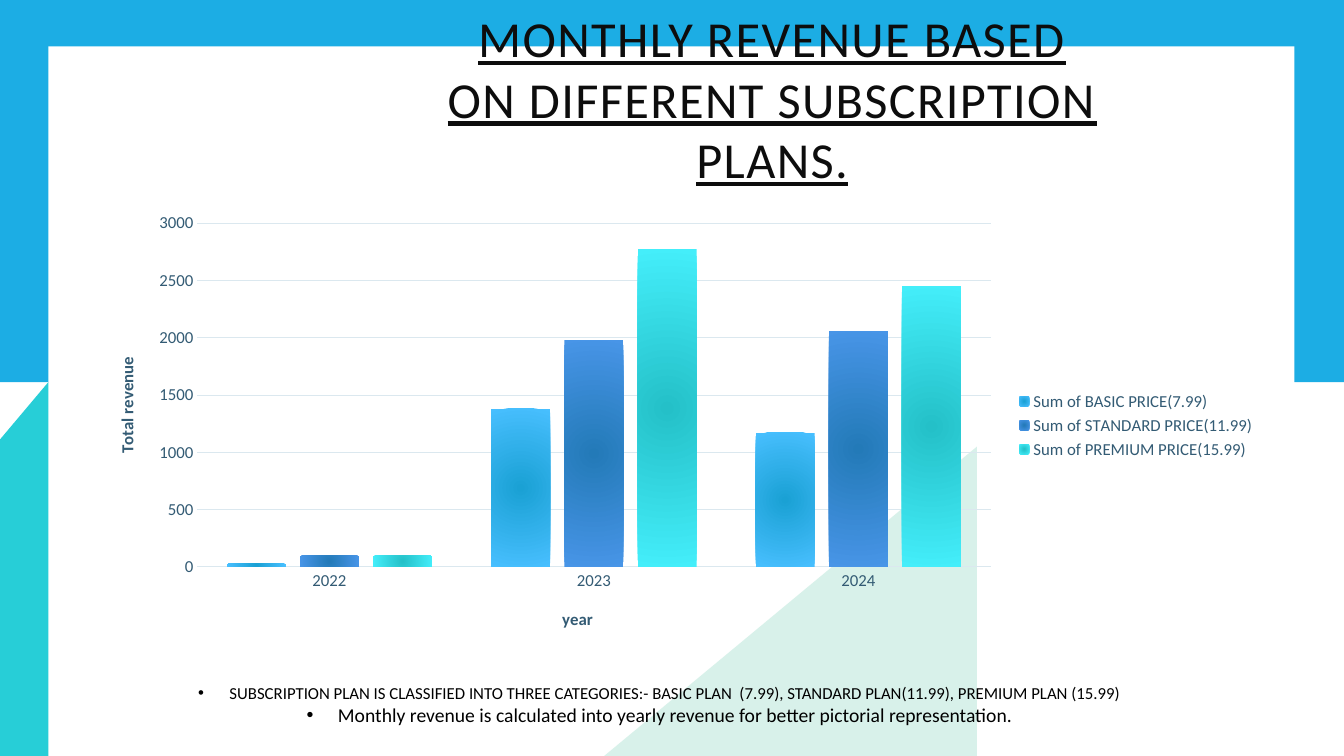
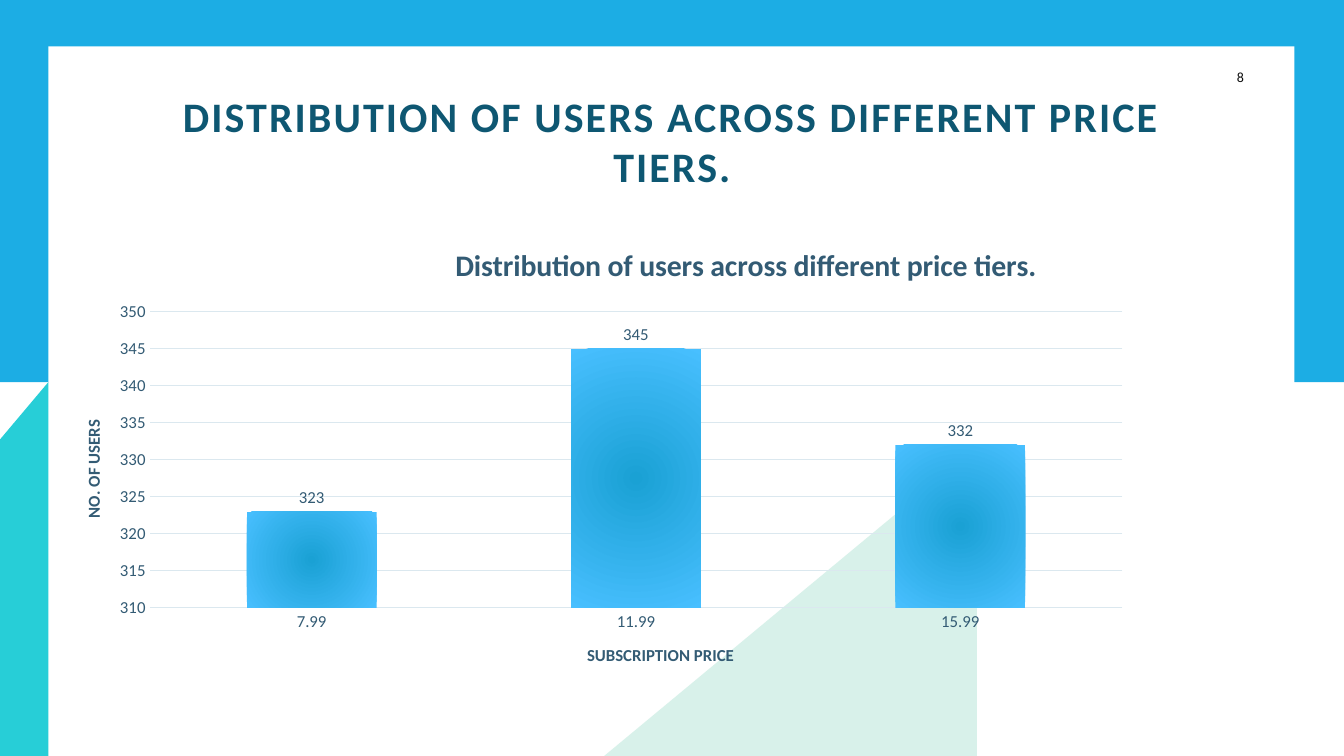
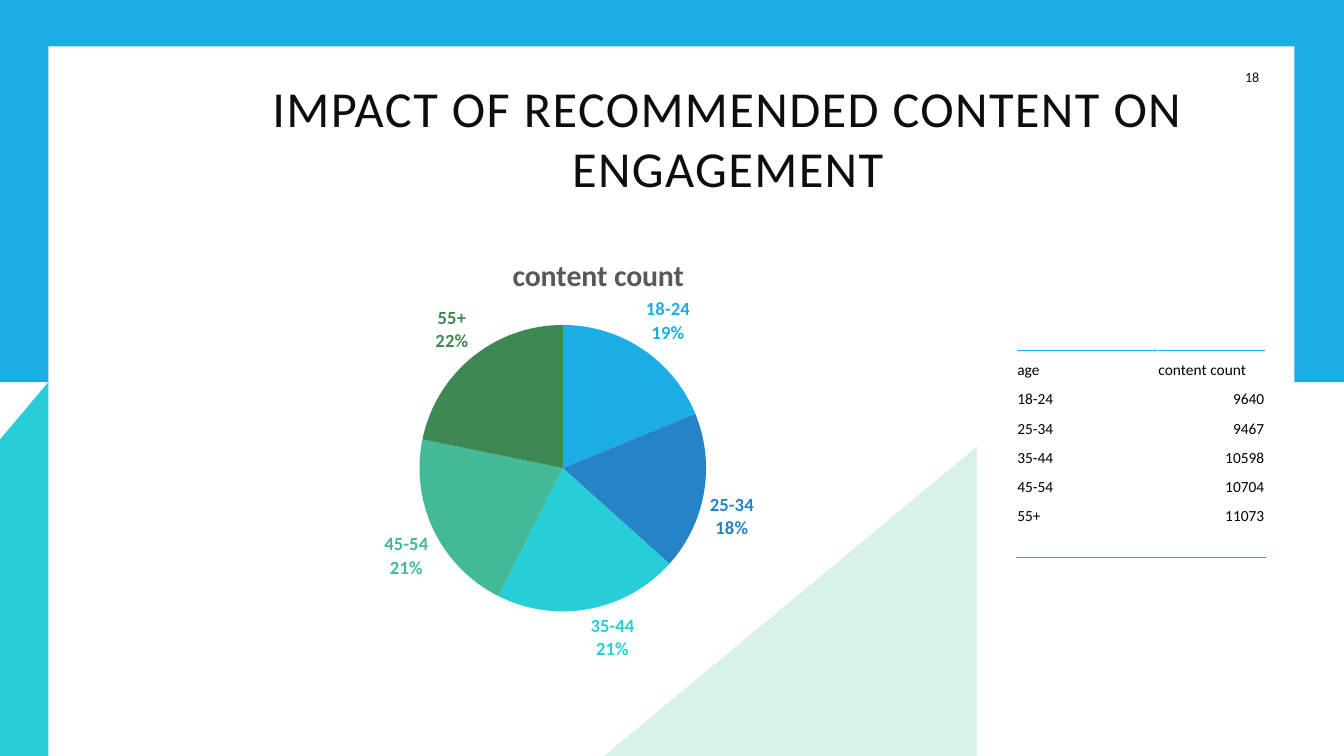
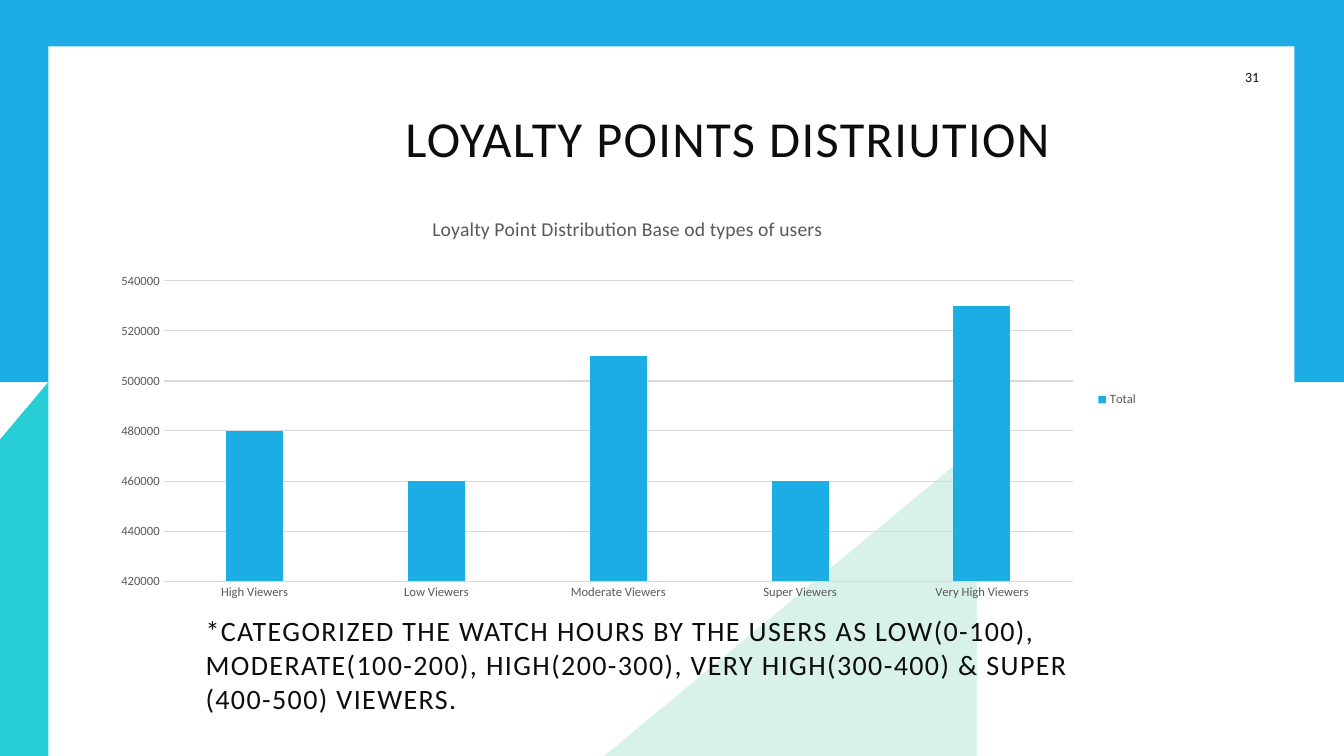
from dataclasses import dataclass
from typing import Any, NamedTuple, Optional

import pptx
import pptx.chart.data
import pptx.dml.color
import pptx.enum.chart
import pptx.enum.shapes
import pptx.enum.text
import pptx.oxml
import pptx.oxml.ns
import pptx.util
from pptx.util import Inches

FONT = "Calibri"
COLORS = {
    "blue": "1CADE4", "royal": "2683C6", "cyan": "27CED7",
    "teal": "42BA97", "green": "3E8853", "mint": "B3E4D6",
    "white": "FFFFFF", "black": "000000", "ink": "0D0D0D", "heading": "0E5772",
    "slate": "335B74", "pale": "DBE8EF", "gray": "595959", "grid": "D9D9D9",
    "blue_core": "1AA1D4", "blue_edge": "48BFFF",
    "royal_core": "237AB8", "royal_edge": "4895E7",
    "cyan_core": "24C0C8", "cyan_edge": "44EEFA",
}
PIE_COLORS = ("blue", "royal", "cyan", "teal", "green")
ALIGN = pptx.enum.text.PP_ALIGN
ANCHOR = pptx.enum.text.MSO_ANCHOR
CHART_TYPE = pptx.enum.chart.XL_CHART_TYPE
LABEL_POSITION = pptx.enum.chart.XL_LABEL_POSITION


class Box(NamedTuple):
    """Left, top, width and height in inches."""
    left: float
    top: float
    width: float
    height: float

    def lengths(self) -> list[int]:
        return [Inches(value) for value in self]


class TextStyle(NamedTuple):
    size: float
    color: str = "ink"
    bold: bool = False
    underline: bool = False
    spacing: float = 0


class Caption(NamedTuple):
    """A chart or axis title; left and top are fractions of the chart."""
    text: str
    left: float
    top: float
    style: TextStyle


class Scale(NamedTuple):
    minimum: float
    maximum: float
    step: float


class Series(NamedTuple):
    name: str
    values: tuple[float, ...]
    core: str
    edge: Optional[str] = None


@dataclass(frozen=True)
class ColumnChart:
    box: Box
    plot: Box
    categories: tuple[str, ...]
    series: tuple[Series, ...]
    scale: Scale
    text: TextStyle
    line_color: str
    gap: int
    overlap: int = 0
    title: Optional[Caption] = None
    category_title: Optional[Caption] = None
    value_title: Optional[Caption] = None
    legend: bool = False
    labels: bool = False


TITLE = TextStyle(36, spacing=1)
TITLE_BOX = Box(2.57, 0, 9.3, 2.73)
AXIS_TITLE = TextStyle(12, "slate", bold=True)

REVENUE = ColumnChart(
    box=Box(0.87, 2.03, 11.69, 4.38),
    plot=Box(0.093, 0.042, 0.673, 0.779),
    categories=("2022", "2023", "2024"),
    series=(
        Series("Sum of BASIC PRICE(7.99)", (30, 1380, 1170), "blue_core", "blue_edge"),
        Series("Sum of STANDARD PRICE(11.99)", (100, 1980, 2060), "royal_core", "royal_edge"),
        Series("Sum of PREMIUM PRICE(15.99)", (100, 2770, 2450), "cyan_core", "cyan_edge"),
    ),
    scale=Scale(0, 3000, 500),
    text=TextStyle(12, "slate"),
    line_color="pale",
    gap=100,
    overlap=-24,
    category_title=Caption("year", 0.4, 0.907, AXIS_TITLE),
    value_title=Caption("Total revenue", 0.021, 0.338, AXIS_TITLE),
    legend=True,
)
USERS = ColumnChart(
    box=Box(0.7, 2.08, 11.87, 4.92),
    plot=Box(0.066, 0.206, 0.813, 0.597),
    categories=("7.99", "11.99", "15.99"),
    series=(Series("Series 1", (323, 345, 332), "blue_core", "blue_edge"),),
    scale=Scale(310, 350, 5),
    text=TextStyle(12, "slate"),
    line_color="pale",
    gap=150,
    title=Caption("Distribution of users across different price tiers.", 0.317, 0.059,
                  TextStyle(21.3, "slate", bold=True)),
    category_title=Caption("SUBSCRIPTION PRICE", 0.429, 0.87, AXIS_TITLE),
    value_title=Caption("NO. OF USERS", 0.007, 0.418, AXIS_TITLE),
    labels=True,
)
LOYALTY = ColumnChart(
    box=Box(1, 1.9, 10.39, 4.13),
    plot=Box(0.06, 0.215, 0.868, 0.721),
    categories=("High Viewers", "Low Viewers", "Moderate Viewers", "Super Viewers",
                "Very High Viewers"),
    series=(Series("Total", (480000, 460000, 510000, 460000, 530000), "blue"),),
    scale=Scale(420000, 540000, 20000),
    text=TextStyle(9, "gray"),
    line_color="grid",
    gap=219,
    overlap=-27,
    title=Caption("Loyalty Point Distribution Base od types of users", 0.313, 0.049,
                  TextStyle(14, "gray")),
    legend=True,
)
AGES = ("18-24", "25-34", "35-44", "45-54", "55+")
AGE_SHARES = (19, 18, 21, 21, 22)
AGE_COUNTS = ("9640", "9467", "10598", "10704", "11073")


def rgb(color: str) -> pptx.dml.color.RGBColor:
    return pptx.dml.color.RGBColor.from_string(COLORS[color])


def make_element(tag: str, attributes: str = "", content: str = "") -> Any:
    prefix = tag.split(":")[0]
    namespace = pptx.oxml.ns.nsdecls(prefix)
    return pptx.oxml.parse_xml(f"<{tag} {namespace} {attributes}>{content}</{tag}>")


def style_font(font: Any, style: TextStyle) -> None:
    font.name = FONT
    font.size = pptx.util.Pt(style.size)
    font.bold = style.bold
    font.underline = style.underline
    font.color.rgb = rgb(style.color)


def add_run(paragraph: Any, text: str, style: TextStyle) -> None:
    run = paragraph.add_run()
    run.text = text
    style_font(run.font, style)
    if style.spacing:
        run._r.get_or_add_rPr().set("spc", str(int(style.spacing * 100)))


def add_text(slide: Any, box: Box, lines: list[tuple[str, TextStyle]], align: Any = ALIGN.LEFT,
             anchor: Any = ANCHOR.MIDDLE, inset: float = 0, bullets: bool = False) -> None:
    frame = slide.shapes.add_textbox(*box.lengths()).text_frame
    frame.word_wrap = True
    frame.vertical_anchor = anchor
    frame.margin_top = frame.margin_bottom = Inches(inset)
    for index, (text, style) in enumerate(lines):
        paragraph = frame.add_paragraph() if index else frame.paragraphs[0]
        paragraph.alignment = align
        if bullets:
            properties = paragraph._p.get_or_add_pPr()
            properties.set("marL", str(Inches(0.31)))
            properties.set("indent", str(-Inches(0.31)))
            properties.append(make_element("a:buFont", 'typeface="Arial"'))
            properties.append(make_element("a:buChar", 'char="•"'))
        add_run(paragraph, text, style)


def add_title(slide: Any, text: str, style: TextStyle = TITLE, box: Box = TITLE_BOX) -> None:
    add_text(slide, box, [(text, style)], ALIGN.CENTER)


def add_page_number(slide: Any, number: int, left: float = 12.25) -> None:
    box = Box(left, 0.5, 13.33 - left, 0.52)
    add_text(slide, box, [(str(number), TextStyle(10))], inset=0.05)


def paint(shape: Any, color: str) -> None:
    shape.shadow.inherit = False
    shape.fill.solid()
    shape.fill.fore_color.rgb = rgb(color)
    shape.line.fill.background()


def add_rectangle(slide: Any, box: Box, color: str) -> None:
    rectangle = pptx.enum.shapes.MSO_SHAPE.RECTANGLE
    paint(slide.shapes.add_shape(rectangle, *box.lengths()), color)


def add_polygon(slide: Any, points: list[tuple[float, float]], color: str) -> Any:
    corners = [(Inches(x), Inches(y)) for x, y in points]
    builder = slide.shapes.build_freeform(*corners[0])
    builder.add_line_segments(corners[1:], close=True)
    polygon = builder.convert_to_shape()
    paint(polygon, color)
    return polygon


def add_framed_slide(presentation: Any) -> Any:
    """Add a blank slide with the blue band, white panel and corner wedges."""
    slide = presentation.slides.add_slide(presentation.slide_layouts[6])
    add_rectangle(slide, Box(-0.03, 0, 13.36, 3.79), "blue")
    add_rectangle(slide, Box(0.48, 0.46, 12.36, 6.59), "white")
    wedge = add_polygon(slide, [(5.98, 7.51), (9.69, 4.43), (9.69, 7.51)], "mint")
    fill_color = wedge._element.spPr.find(".//" + pptx.oxml.ns.qn("a:srgbClr"))
    fill_color.append(make_element("a:alpha", 'val="50000"'))
    add_polygon(slide, [(0.48, 3.79), (0.48, 7.5), (0, 7.5), (0, 4.36)], "cyan")
    return slide


def place_in_chart(element: Any, left: float, top: float,
                   width: Optional[float] = None, height: Optional[float] = None) -> None:
    """Give a plot area or a title a fixed place, in fractions of the chart."""
    inner = '<c:layoutTarget val="inner"/>' if width else ""
    numbers = {"x": left, "y": top, "w": width, "h": height}
    modes = '<c:xMode val="edge"/><c:yMode val="edge"/>'
    sizes = "".join(f'<c:{key} val="{value}"/>' for key, value in numbers.items()
                    if value is not None)
    for old in element.findall(pptx.oxml.ns.qn("c:layout")):
        element.remove(old)
    index = 0 if element.find(pptx.oxml.ns.qn("c:tx")) is None else 1
    manual = f"<c:manualLayout>{inner}{modes}{sizes}</c:manualLayout>"
    element.insert(index, make_element("c:layout", content=manual))


def write_caption(title: Any, caption: Caption) -> None:
    add_run(title.text_frame.paragraphs[0], caption.text, caption.style)
    place_in_chart(title._element, caption.left, caption.top)


def add_chart(slide: Any, kind: Any, box: Box, plot: Box, categories: tuple[str, ...],
              series: tuple[Series, ...], title: Optional[Caption]) -> Any:
    data = pptx.chart.data.CategoryChartData()
    data.categories = categories
    for item in series:
        data.add_series(item.name, item.values)
    chart = slide.shapes.add_chart(kind, *box.lengths(), data).chart
    style_font(chart.font, TextStyle(10, "black"))
    chart.has_legend = False
    chart.has_title = title is not None
    if title:
        write_caption(chart.chart_title, title)
    place_in_chart(chart._chartSpace.chart.plotArea, *plot)
    return chart


def fill_series(series: Any, core: str, edge: Optional[str]) -> None:
    """Fill columns plainly, or from a core colour out to an edge colour."""
    fill = series.format.fill
    if edge is None:
        fill.solid()
        fill.fore_color.rgb = rgb(core)
        return
    fill.gradient()
    for stop, color, position in zip(fill.gradient_stops, (core, edge), (0, 1)):
        stop.color.rgb = rgb(color)
        stop.position = position
    direction = series._element.find(".//" + pptx.oxml.ns.qn("a:lin"))
    sides = " ".join(f'{side}="100000"' for side in "ltrb")
    radial = make_element("a:path", 'path="circle"', f"<a:fillToRect {sides}/>")
    direction.getparent().replace(direction, radial)


def add_column_chart(slide: Any, design: ColumnChart) -> None:
    chart = add_chart(slide, CHART_TYPE.COLUMN_CLUSTERED, design.box, design.plot,
                      design.categories, design.series, design.title)
    plot = chart.plots[0]
    plot.vary_by_categories = False
    plot.gap_width = design.gap
    plot.overlap = design.overlap
    for series, item in zip(plot.series, design.series):
        series.invert_if_negative = False
        fill_series(series, item.core, item.edge)

    captions = (design.category_title, design.value_title)
    for axis, caption in zip((chart.category_axis, chart.value_axis), captions):
        axis.major_tick_mark = pptx.enum.chart.XL_TICK_MARK.NONE
        style_font(axis.tick_labels.font, design.text)
        axis.has_title = caption is not None
        if caption:
            write_caption(axis.axis_title, caption)
    values = chart.value_axis
    values.minimum_scale, values.maximum_scale, values.major_unit = design.scale
    values.format.line.fill.background()
    for line in (chart.category_axis.format.line, values.major_gridlines.format.line):
        line.color.rgb = rgb(design.line_color)
        line.width = pptx.util.Pt(0.75)

    if design.legend:
        chart.has_legend = True
        chart.legend.position = pptx.enum.chart.XL_LEGEND_POSITION.RIGHT
        chart.legend.include_in_layout = False
        style_font(chart.legend.font, design.text)
    if design.labels:
        plot.has_data_labels = True
        plot.data_labels.show_value = True
        plot.data_labels.position = LABEL_POSITION.OUTSIDE_END
        style_font(plot.data_labels.font, design.text)


def add_age_pie(slide: Any) -> None:
    title = Caption("content count", 0.413, 0.055, TextStyle(21.3, "gray", bold=True))
    shares = Series("content count", AGE_SHARES, "blue")
    chart = add_chart(slide, CHART_TYPE.PIE, Box(1, 2.23, 9.76, 4.38),
                      Box(0, 0.227, 0.939, 0.649), AGES, (shares,), title)
    series = chart.plots[0].series[0]
    labels = series.data_labels
    labels.show_value = False
    labels.show_category_name = labels.show_percentage = True
    labels.position = LABEL_POSITION.OUTSIDE_END
    for index, color in enumerate(PIE_COLORS):
        point = series.points[index]
        point.format.fill.solid()
        point.format.fill.fore_color.rgb = rgb(color)
        style_font(point.data_label.font, TextStyle(13.3, color, bold=True))
        point.data_label.position = LABEL_POSITION.OUTSIDE_END
    shown = {"c:showVal": "0", "c:showCatName": "1", "c:showPercent": "1"}
    for label in series._element.iter(pptx.oxml.ns.qn("c:dLbl")):
        for tag, flag in shown.items():
            label.find(pptx.oxml.ns.qn(tag)).set("val", flag)
        label.append(make_element("c:separator", content="\n"))


def add_border(cell: Any, tag: str) -> None:
    line = f'<a:solidFill><a:srgbClr val="{COLORS["blue"]}"/></a:solidFill>'
    border = make_element(tag, f'w="{pptx.util.Pt(1)}"', line)
    cell._tc.get_or_add_tcPr().insert(0, border)


def add_age_table(slide: Any) -> None:
    rows = [("age", "content count"), *zip(AGES, AGE_COUNTS), ("", "")]
    box = Box(10.08, 3.48, 2.47, 2.03)
    table = slide.shapes.add_table(len(rows), 2, *box.lengths()).table
    table.first_row = table.horz_banding = False
    for column, width in zip(table.columns, (1.4, 1.07)):
        column.width = Inches(width)
    for row_index, row in enumerate(rows):
        table.rows[row_index].height = Inches(0.29)
        for column_index, text in enumerate(row):
            cell = table.cell(row_index, column_index)
            cell.fill.background()
            cell.vertical_anchor = ANCHOR.BOTTOM
            cell.margin_left = cell.margin_right = cell.margin_top = Inches(0.01)
            cell.margin_bottom = 0
            paragraph = cell.text_frame.paragraphs[0]
            if text.isdigit():
                paragraph.alignment = ALIGN.RIGHT
            add_run(paragraph, text, TextStyle(11, "black"))
            if row_index == 0:
                add_border(cell, "a:lnT")
            elif row_index == len(rows) - 1:
                add_border(cell, "a:lnB")


def build_revenue_slide(presentation: Any) -> None:
    slide = add_framed_slide(presentation)
    add_title(slide, "MONTHLY REVENUE BASED ON DIFFERENT SUBSCRIPTION PLANS.",
              TITLE._replace(underline=True), Box(4.33, 0.2, 6.66, 1.55))
    add_column_chart(slide, REVENUE)
    add_text(slide, Box(1.43, 6.72, 10.23, 0.54), [
        ("SUBSCRIPTION PLAN IS CLASSIFIED INTO THREE CATEGORIES:- BASIC PLAN  (7.99), "
         "STANDARD PLAN(11.99), PREMIUM PLAN (15.99)", TextStyle(12, "black")),
        ("Monthly revenue is calculated into yearly revenue for better pictorial "
         "representation.", TextStyle(14, "black")),
    ], ALIGN.CENTER, ANCHOR.TOP, inset=0.05, bullets=True)


def build_users_slide(presentation: Any) -> None:
    slide = add_framed_slide(presentation)
    add_title(slide, "DISTRIBUTION OF USERS ACROSS DIFFERENT PRICE TIERS.",
              TextStyle(30, "heading", bold=True, spacing=1.5), Box(1.54, 0.03, 10.25, 2.73))
    add_page_number(slide, 8, left=12.17)
    add_column_chart(slide, USERS)


def build_engagement_slide(presentation: Any) -> None:
    slide = add_framed_slide(presentation)
    add_title(slide, "IMPACT OF RECOMMENDED CONTENT ON ENGAGEMENT")
    add_page_number(slide, 18)
    add_age_pie(slide)
    add_age_table(slide)


def build_loyalty_slide(presentation: Any) -> None:
    slide = add_framed_slide(presentation)
    add_title(slide, "LOYALTY POINTS DISTRIUTION")
    add_page_number(slide, 31)
    add_column_chart(slide, LOYALTY)
    note = ("*CATEGORIZED THE WATCH HOURS BY THE USERS AS LOW(0-100), MODERATE(100-200), "
            "HIGH(200-300), VERY HIGH(300-400) & SUPER (400-500) VIEWERS.")
    add_text(slide, Box(1.94, 6.07, 9.3, 1.04), [(note, TextStyle(20, spacing=1))])


def main() -> None:
    presentation = pptx.Presentation()
    presentation.slide_width = Inches(13.33)
    presentation.slide_height = Inches(7.5)
    build_revenue_slide(presentation)
    build_users_slide(presentation)
    build_engagement_slide(presentation)
    build_loyalty_slide(presentation)
    presentation.save("out.pptx")


if __name__ == "__main__":
    main()
